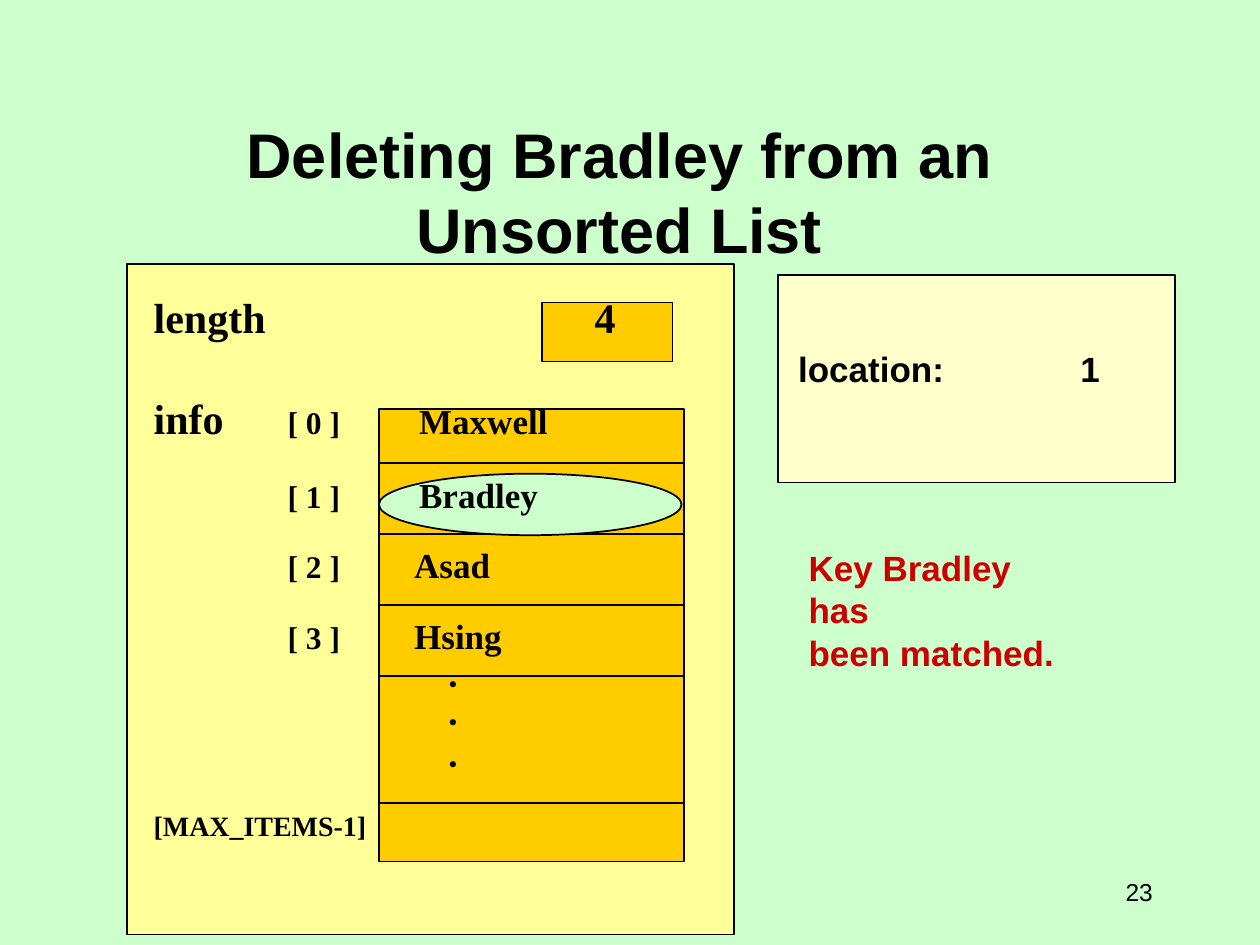
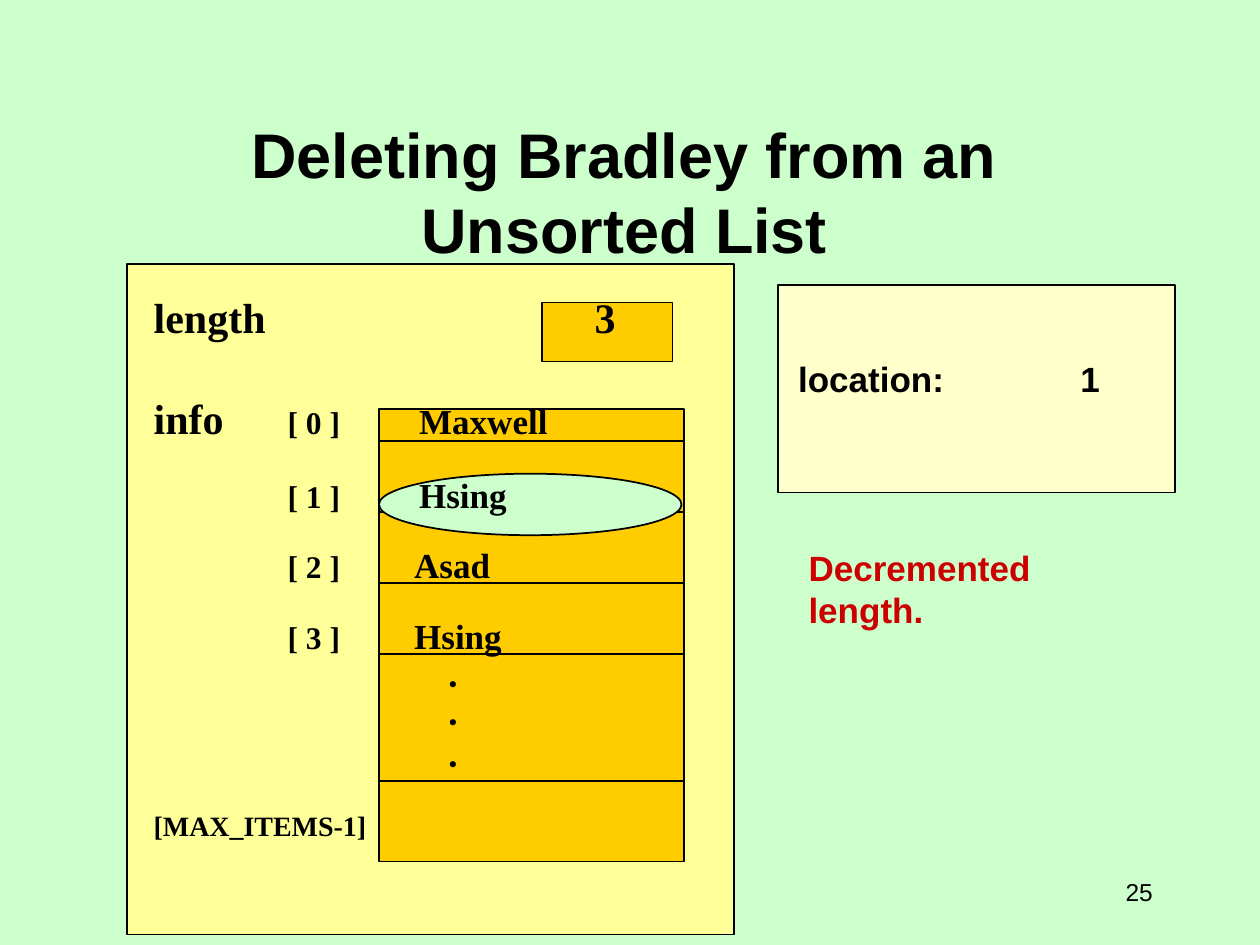
from lxml import etree
from pptx import Presentation
from pptx.dml.color import RGBColor
from pptx.enum import shapes, text
from pptx.oxml import ns
from pptx.util import Cm, Pt

BLACK = RGBColor(0x00, 0x00, 0x00)
RED = RGBColor(0xCC, 0x00, 0x00)
MINT = RGBColor(0xCC, 0xFF, 0xCC)
CREAM = RGBColor(0xFF, 0xFF, 0xCC)
YELLOW = RGBColor(0xFF, 0xFF, 0x99)
GOLD = RGBColor(0xFF, 0xCC, 0x00)
SANS, SERIF, DOT_FONT = "Arial", "Times New Roman", "Montserrat"
RECTANGLE = shapes.MSO_SHAPE.RECTANGLE
OVAL = shapes.MSO_SHAPE.OVAL

LIST_PANEL = (2.56, 5.33, 12.24, 13.51)
NOTE_BOX = (16.05, 10.87, 5.74, 2.0)
NUMBER_BOX = (21.79, 17.35, 1.7, 1.27)
ROW_PITCH = 1.43
LAST_ROW_OFFSET = 6.86
ITEM_GAPS = (28.9, 17, 16.4, 16.4)


def style_run(run, size, font=SANS, color=BLACK, bold=True):
    run.font.size = Pt(size)
    run.font.name = font
    run.font.bold = bold
    run.font.color.rgb = color


def add_box(slide, kind, box, fill):
    shape = slide.shapes.add_shape(kind, *map(Cm, box))
    shape.shadow.inherit = False
    shape.fill.solid()
    shape.fill.fore_color.rgb = fill
    shape.line.color.rgb = BLACK
    shape.line.width = Pt(1)


def add_rule(slide, left, top, width):
    line = slide.shapes.add_connector(
        shapes.MSO_CONNECTOR.STRAIGHT, Cm(left), Cm(top), Cm(left + width), Cm(top))
    line.line.color.rgb = BLACK
    line.line.width = Pt(1)
    etree.SubElement(line.element.spPr, ns.qn("a:effectLst"))


def add_text_frame(slide, box):
    frame = slide.shapes.add_textbox(*map(Cm, box)).text_frame
    frame.word_wrap = True
    return frame


def set_tabs(paragraph, positions):
    properties = paragraph._p.get_or_add_pPr()
    tabs = etree.SubElement(properties, ns.qn("a:tabLst"))
    for position in positions:
        etree.SubElement(tabs, ns.qn("a:tab"), pos=str(Cm(position)), algn="l")


def add_sans_lines(slide, box, lines, color, tabs=()):
    frame = add_text_frame(slide, box)
    frame.text = "\n".join(lines)
    for paragraph in frame.paragraphs:
        paragraph.line_spacing = Pt(24.4)
        if tabs:
            set_tabs(paragraph, tabs)
        for run in paragraph.runs:
            style_run(run, 20, color=color)


def add_title(slide, left, width):
    title = slide.shapes.title
    title.left, title.top, title.width, title.height = map(Cm, (left, 3.16, width, 2.34))
    frame = title.text_frame
    frame.text = "Deleting Bradley from an\vUnsorted List"
    frame.auto_size = text.MSO_AUTO_SIZE.NONE
    frame.vertical_anchor = text.MSO_ANCHOR.BOTTOM
    frame.paragraphs[0].alignment = text.PP_ALIGN.CENTER
    for run in frame.paragraphs[0].runs:
        style_run(run, 36)


def add_list_text(slide, box, length, names):
    dot = ([("\t.", 18)], (5.95,), DOT_FONT)
    rows = [(0, [(f"length\t{length}", 24)], (8.89,), SERIF)]
    for index, (gap, name) in enumerate(zip(ITEM_GAPS, names)):
        label = [("info", 24)] if index == 0 else []
        tabs = (2.7, 5.35 if index < 2 else 5.25)
        rows.append((gap, label + [(f"\t[ {index} ]", 18), (f"\t{name}", 20)], tabs, SERIF))
    rows += [(gap, *dot) for gap in (0, 0, 2)]
    rows.append((20, [("[MAX_ITEMS-1]", 16)], (), SERIF))

    frame = add_text_frame(slide, box)
    for index, (gap, parts, tabs, font) in enumerate(rows):
        paragraph = frame.add_paragraph() if index else frame.paragraphs[0]
        paragraph.space_before = Pt(gap)
        if tabs:
            set_tabs(paragraph, tabs)
        for words, size in parts:
            run = paragraph.add_run()
            run.text = words
            style_run(run, size, font)


def add_list_panel(slide, box, length, names, first_row):
    left, top = box[:2]
    array_left, array_top, array_width = left + 5.08, top + 2.92, 6.15
    add_box(slide, RECTANGLE, box, YELLOW)
    add_box(slide, RECTANGLE, (left + 8.36, top + 0.77, 2.64, 1.19), GOLD)
    add_box(slide, RECTANGLE, (array_left, array_top, array_width, 9.12), GOLD)
    for offset in [ROW_PITCH * row for row in range(4)] + [LAST_ROW_OFFSET]:
        add_rule(slide, array_left, array_top + first_row + offset, array_width)
    add_box(slide, OVAL, (array_left, top + 4.22, 6.1, 1.24), MINT)
    add_list_text(slide, (left + 0.29, top + 0.43, 9.83, 12.12), length, names)


def add_location_panel(slide, box):
    left, top = box[:2]
    add_box(slide, RECTANGLE, box, CREAM)
    add_sans_lines(slide, (left + 0.15, top + 1.33, 7.1, 1.1), ["location:\t1"], BLACK, (5.69,))


def add_page_number(slide, box, number):
    frame = add_text_frame(slide, box)
    frame.vertical_anchor = text.MSO_ANCHOR.MIDDLE
    frame.text = str(number)
    frame.paragraphs[0].alignment = text.PP_ALIGN.RIGHT
    style_run(frame.paragraphs[0].runs[0], 14, bold=False)


def add_deletion_slide(presentation, number, title_span, location_top, length, names,
                       first_row, note):
    slide = presentation.slides.add_slide(presentation.slide_layouts[5])
    add_title(slide, *title_span)
    add_location_panel(slide, (15.69, location_top, 8.0, 4.19))
    add_list_panel(slide, LIST_PANEL, length, names, first_row)
    add_sans_lines(slide, NOTE_BOX, note, RED)
    add_page_number(slide, NUMBER_BOX, number)


def main():
    presentation = Presentation()
    presentation.slide_width, presentation.slide_height = Cm(25.4), Cm(19.05)
    master = presentation.slide_master
    master.background.fill.solid()
    master.background.fill.fore_color.rgb = MINT
    title_style = master.element.find(".//" + ns.qn("p:titleStyle"))
    title_style.find(".//" + ns.qn("a:defRPr")).set("sz", "3600")

    add_deletion_slide(presentation, 23, (0, 24.97), 5.54, 4,
                       ["Maxwell", "Bradley", "Asad", "Hsing"], 1.08,
                       ["Key Bradley has", "been matched."])
    add_deletion_slide(presentation, 25, (0.2, 24.77), 5.74, 3,
                       ["Maxwell", "Hsing", "Asad", "Hsing"], 0.64,
                       ["Decremented length."])
    presentation.save("out.pptx")


if __name__ == "__main__":
    main()
